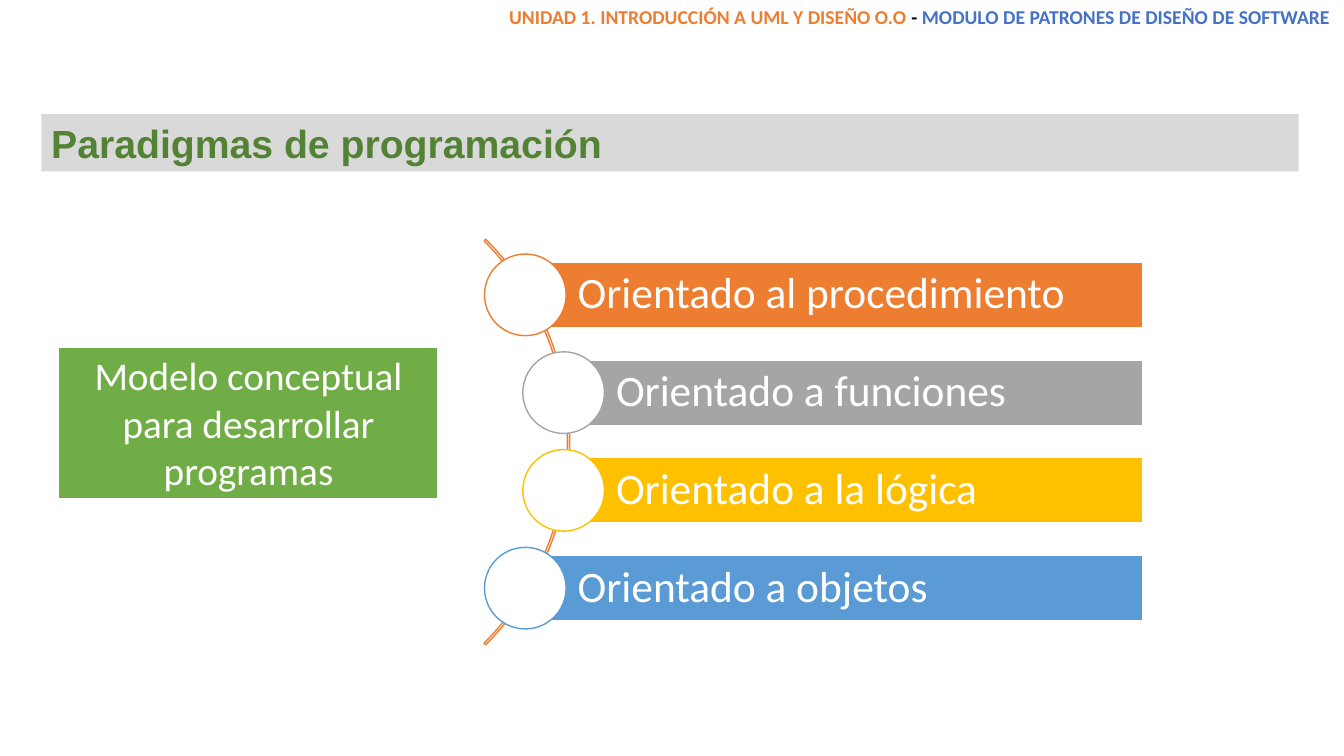
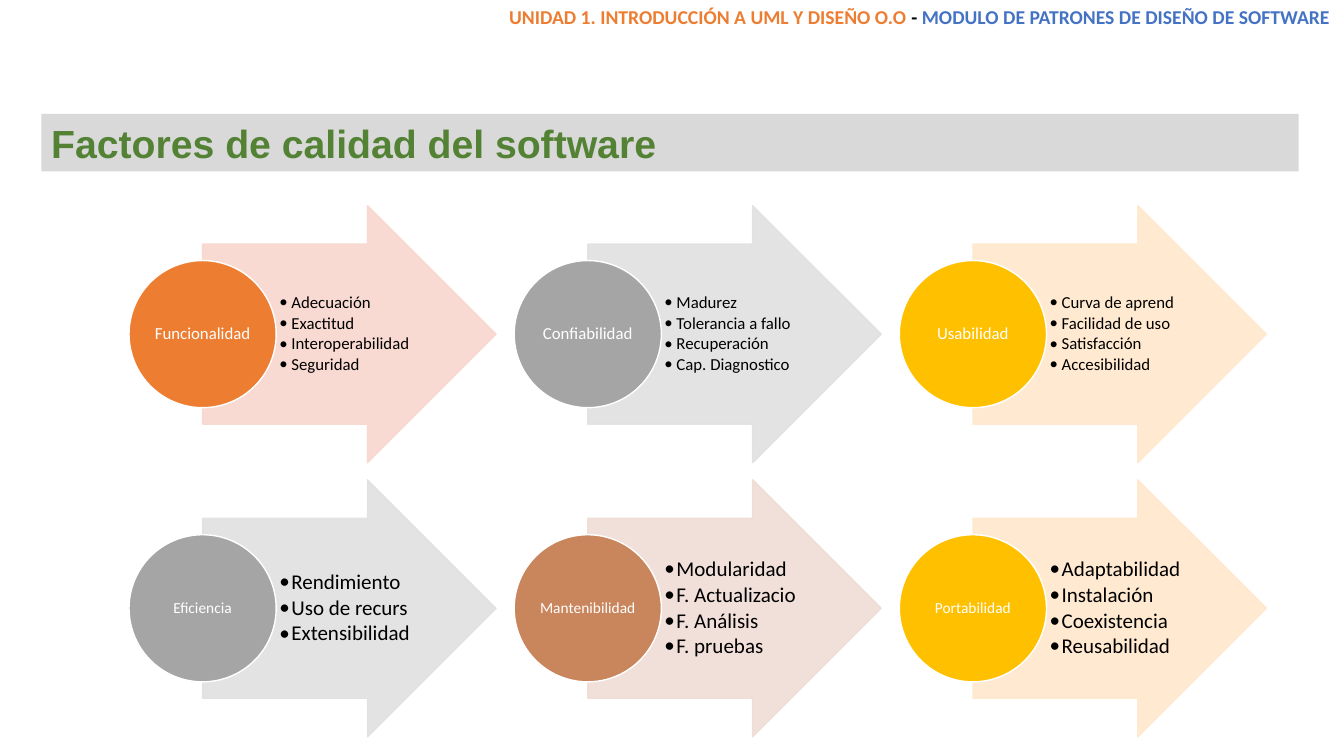
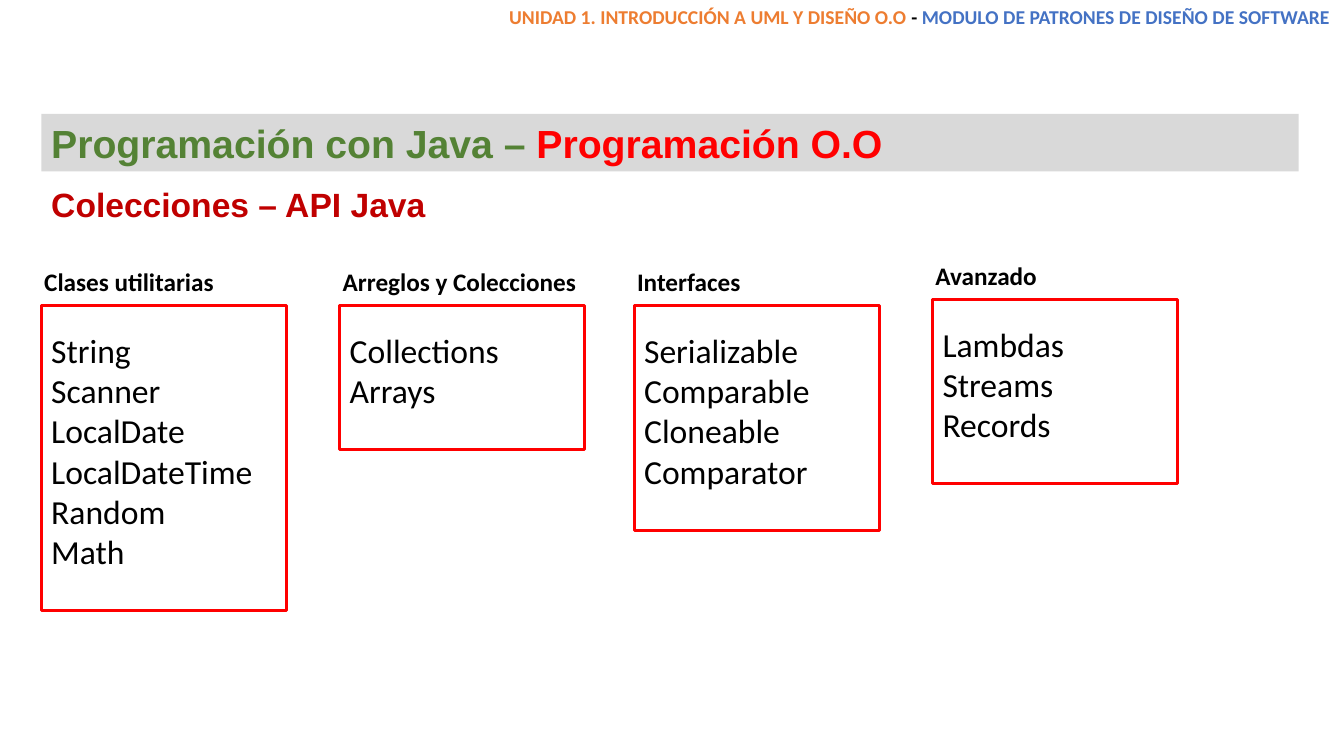
from lxml.etree import SubElement
from pptx import Presentation
from pptx.dml.color import RGBColor
from pptx.enum.shapes import MSO_SHAPE as SHAPE
from pptx.enum.text import MSO_ANCHOR as ANCHOR, PP_ALIGN as ALIGN
from pptx.oxml.ns import qn
from pptx.util import Inches, Pt

WHITE = RGBColor(0xFF, 0xFF, 0xFF)
BLACK = RGBColor(0x00, 0x00, 0x00)
BAND = RGBColor(0xD9, 0xD9, 0xD9)
TITLE_GREEN = RGBColor(0x54, 0x82, 0x35)
BOX_GREEN = RGBColor(0x70, 0xAD, 0x47)
ORANGE = RGBColor(0xED, 0x7D, 0x31)
GRAY = RGBColor(0xA5, 0xA5, 0xA5)
GOLD = RGBColor(0xFF, 0xC0, 0x00)
SKY = RGBColor(0x5B, 0x9B, 0xD5)
BLUE = RGBColor(0x44, 0x72, 0xC4)
BROWN = RGBColor(0xC9, 0x85, 0x5C)
RED = RGBColor(0xFF, 0x00, 0x00)
DARK_RED = RGBColor(0xC0, 0x00, 0x00)
PALE_ORANGE = RGBColor(0xF8, 0xD7, 0xCE)
PALE_GRAY = RGBColor(0xE1, 0xE1, 0xE1)
PALE_GOLD = RGBColor(0xFF, 0xE8, 0xCC)
PALE_BROWN = RGBColor(0xF0, 0xDC, 0xD5)

HEADER = [
    ("UNIDAD 1. INTRODUCCIÓN A UML Y DISEÑO O.O ", ORANGE),
    ("- ", BLACK),
    ("MODULO DE PATRONES DE DISEÑO DE SOFTWARE", BLUE),
]

PARADIGMS_TITLE = [("Paradigmas de programación", TITLE_GREEN)]
MODEL = "Modelo conceptual para desarrollar programas"
PARADIGMS = [
    ("Orientado al procedimiento", ORANGE, 5.21),
    ("Orientado a funciones", GRAY, 5.59),
    ("Orientado a la lógica", GOLD, 5.59),
    ("Orientado a objetos", SKY, 5.21),
]

FACTORS_TITLE = [("Factores de calidad del software", TITLE_GREEN)]
FACTOR_ROWS = [
    (12, 12, [
        ("Funcionalidad", ORANGE, PALE_ORANGE,
         ["Adecuación", "Exactitud", "Interoperabilidad", "Seguridad"]),
        ("Confiabilidad", GRAY, PALE_GRAY,
         ["Madurez", "Tolerancia a fallo", "Recuperación", "Cap. Diagnostico"]),
        ("Usabilidad", GOLD, PALE_GOLD,
         ["Curva de aprend", "Facilidad de uso", "Satisfacción", "Accesibilidad"]),
    ]),
    (11, 15, [
        ("Eficiencia", GRAY, PALE_GRAY,
         ["Rendimiento", "Uso de recurs", "Extensibilidad"]),
        ("Mantenibilidad", BROWN, PALE_BROWN,
         ["Modularidad", "F. Actualizacio", "F. Análisis", "F. pruebas"]),
        ("Portabilidad", GOLD, PALE_GOLD,
         ["Adaptabilidad", "Instalación", "Coexistencia", "Reusabilidad"]),
    ]),
]

JAVA_TITLE = [("Programación con Java – ", TITLE_GREEN), ("Programación O.O", RED)]
JAVA_SUBTITLE = "Colecciones – API Java"
CLASS_GROUPS = [
    ("Clases utilitarias", 0.41, 3.03,
     ["String", "Scanner", "LocalDate", "LocalDateTime", "Random", "Math"]),
    ("Arreglos y Colecciones", 3.37, 3.03, ["Collections", "Arrays"]),
    ("Interfaces", 6.29, 3.03,
     ["Serializable", "Comparable", "Cloneable", "Comparator"]),
    ("Avanzado", 9.25, 2.97, ["Lambdas", "Streams", "Records"]),
]


def write(sp, lines, size, font="Calibri", bold=False, align=ALIGN.LEFT,
          anchor=ANCHOR.TOP, insets=(0.1, 0.05, 0.1, 0.05), spacing=None):
    """Fill a shape with paragraphs, each a list of (text, colour) runs."""
    tf = sp.text_frame
    tf.word_wrap = True
    tf.vertical_anchor = anchor
    tf.margin_left, tf.margin_top, tf.margin_right, tf.margin_bottom = map(Inches, insets)
    for i, line in enumerate(lines):
        p = tf.paragraphs[0] if i == 0 else tf.add_paragraph()
        p.alignment = align
        if spacing:
            p.line_spacing = spacing
        for text, color in line:
            r = p.add_run()
            r.text = text
            r.font.name, r.font.size, r.font.bold = font, Pt(size), bold
            r.font.color.rgb = color


def add_text(s, box, lines, size, **style):
    """Add a text box."""
    sp = s.shapes.add_textbox(*map(Inches, box))
    write(sp, lines, size, **style)
    return sp


def add_shape(s, kind, box, fill=None, line=None, width=1):
    """Add a preset shape without shadow."""
    sp = s.shapes.add_shape(kind, *map(Inches, box))
    sp.shadow.inherit = False
    if fill is None:
        sp.fill.background()
    else:
        sp.fill.solid()
        sp.fill.fore_color.rgb = fill
    if line is None:
        sp.line.fill.background()
    else:
        sp.line.color.rgb = line
        sp.line.width = Pt(width)
    return sp


def make_translucent(sp, percent):
    """Set the opacity of the fill and line of a shape."""
    for color in sp._element.spPr.iter(qn("a:srgbClr")):
        SubElement(color, qn("a:alpha")).set("val", str(percent * 1000))


def add_bullets(sp, size):
    """Turn the paragraphs of a shape into a bulleted list."""
    for p in sp.text_frame.paragraphs:
        pPr = p._p.get_or_add_pPr()
        pPr.set("marL", str(Inches(0.12)))
        pPr.set("indent", str(-Inches(0.12)))
        SubElement(pPr, qn("a:buFont")).set("typeface", "Calibri")
        SubElement(pPr, qn("a:buChar")).set("char", "•")
        p.space_after = Pt(0.15 * size)


def add_slide(prs, title):
    """Add a slide with the shared header and title band."""
    s = prs.slides.add_slide(prs.slide_layouts[6])
    add_text(s, (1.89, 0, 11.4, 0.34), [HEADER], 14, bold=True, align=ALIGN.RIGHT)
    band = add_shape(s, SHAPE.RECTANGLE, (0.41, 1.13, 12.47, 0.57), BAND)
    write(band, [title], 28, font="Arial", bold=True)
    return s


def build_paradigms(prs):
    """Build the list of paradigms along an arc."""
    s = add_slide(prs, PARADIGMS_TITLE)
    arc = add_shape(s, SHAPE.BLOCK_ARC, (-0.04, 1.54, 5.69, 5.69), line=ORANGE)
    for i, value in enumerate((189, 27, 0.004)):
        arc.adjustments[i] = value
    right, height, dot = 11.33, 0.65, 0.81
    for i, (name, color, left) in enumerate(PARADIGMS):
        top = 2.6 + i * 0.97
        bar = add_shape(s, SHAPE.RECTANGLE, (left, top, right - left, height), color, WHITE)
        write(bar, [[(name, WHITE)]], 31, anchor=ANCHOR.MIDDLE,
              insets=(0.52, 0.09, 0.09, 0.09), spacing=0.9)
        add_shape(s, SHAPE.OVAL, (left - dot / 2, top + (height - dot) / 2, dot, dot),
                  WHITE, color)
    model = add_shape(s, SHAPE.RECTANGLE, (0.58, 3.44, 3.77, 1.51), BOX_GREEN, WHITE, 1.5)
    write(model, [[(MODEL, WHITE)]], 28, align=ALIGN.CENTER)


def build_factors(prs):
    """Build the grid of quality factors."""
    s = add_slide(prs, FACTORS_TITLE)
    width, height, dot = 2.91, 2.55, 1.46
    list_width, list_height = 1.6, 1.78
    for row, (name_size, list_size, factors) in enumerate(FACTOR_ROWS):
        top = 2.04 + row * 2.72
        for col, (name, color, pale, items) in enumerate(factors):
            left = 2.01 + col * 3.82
            arrow = add_shape(s, SHAPE.RIGHT_ARROW, (left, top, width, height), pale, pale)
            arrow.adjustments[0], arrow.adjustments[1] = 0.7, 0.5
            make_translucent(arrow, 90)
            box = (left + dot / 2, top + (height - list_height) / 2, list_width, list_height)
            details = add_text(s, box, [[(item, BLACK)] for item in items], list_size,
                               anchor=ANCHOR.MIDDLE, insets=(0.03, 0.01, 0.02, 0.01),
                               spacing=0.9)
            add_bullets(details, list_size)
            circle = add_shape(s, SHAPE.OVAL, (left - dot / 2, top + (height - dot) / 2, dot, dot),
                               color, WHITE)
            write(circle, [[(name, WHITE)]], name_size, align=ALIGN.CENTER,
                  anchor=ANCHOR.MIDDLE, insets=(0.01,) * 4, spacing=0.9)


def build_java(prs):
    """Build the boxes of Java classes."""
    s = add_slide(prs, JAVA_TITLE)
    add_text(s, (0.41, 1.78, 3.95, 0.5), [[(JAVA_SUBTITLE, DARK_RED)]], 24,
             font="Arial", bold=True)
    for label, left, top, names in CLASS_GROUPS:
        add_text(s, (left - 0.07, top - 0.44, 2.6, 0.4), [[(label, BLACK)]], 18, bold=True)
        box = add_shape(s, SHAPE.RECTANGLE, (left, top, 2.43, 0.63 + 0.4 * len(names)),
                        WHITE, RED, 2.25)
        write(box, [[(name, BLACK)] for name in names], 24, insets=(0.1, 0.24, 0.1, 0.05))


def main():
    """Build and save the presentation."""
    prs = Presentation()
    prs.slide_width, prs.slide_height = Inches(13.33), Inches(7.5)
    build_paradigms(prs)
    build_factors(prs)
    build_java(prs)
    prs.save("out.pptx")


if __name__ == "__main__":
    main()
